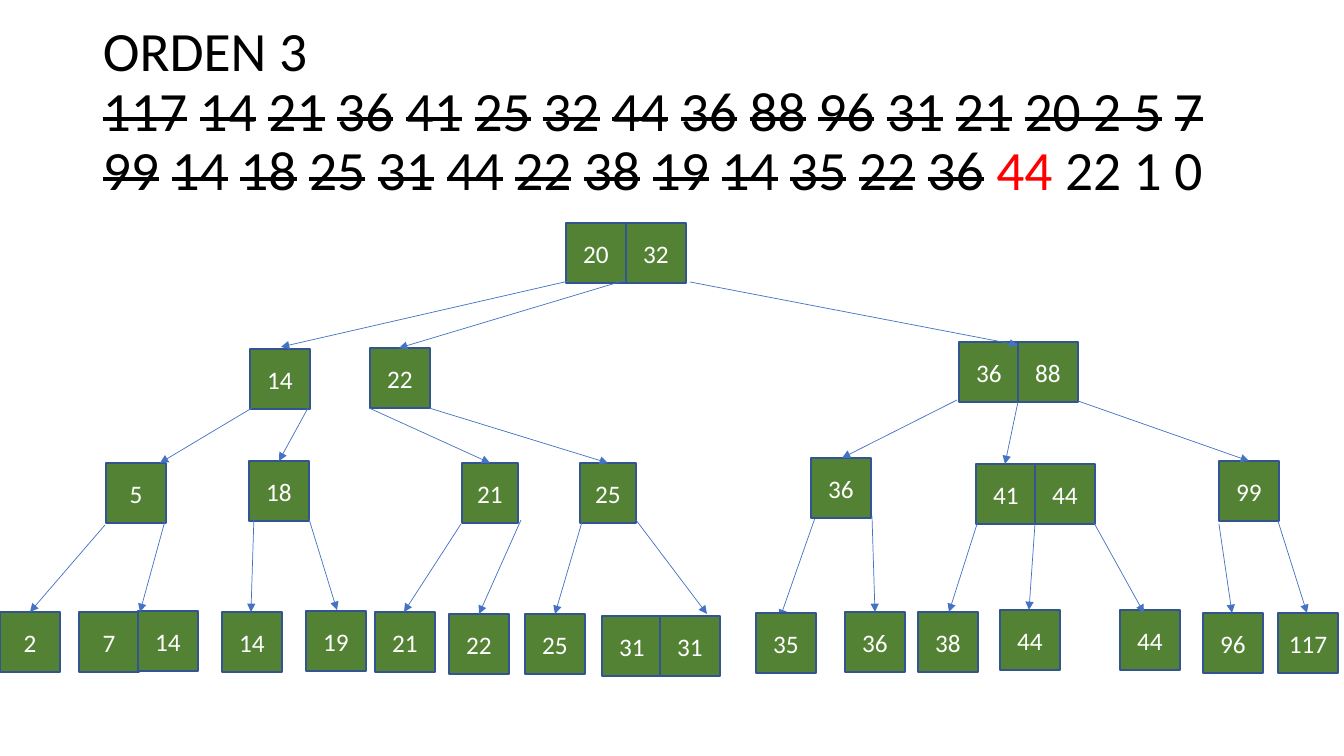
from dataclasses import dataclass
from lxml.etree import SubElement
from pptx import Presentation
from pptx.dml.color import RGBColor
from pptx.enum.shapes import MSO_CONNECTOR, MSO_SHAPE
from pptx.enum.text import MSO_ANCHOR, PP_ALIGN
from pptx.oxml.ns import qn
from pptx.util import Pt


@dataclass(frozen=True)
class Theme:
    """Colours and type sizes of the slide."""
    face: str = "Calibri"
    ink: RGBColor = RGBColor(0, 0, 0)
    red: RGBColor = RGBColor(255, 0, 0)
    white: RGBColor = RGBColor(255, 255, 255)
    green: RGBColor = RGBColor(0x54, 0x82, 0x35)
    edge: RGBColor = RGBColor(0x32, 0x54, 0x91)
    blue: RGBColor = RGBColor(0x44, 0x72, 0xC4)
    title: float = 39.6
    key: int = 18


theme = Theme()
SCALE = 914400 / 100.8
SIDE = 60

deck = Presentation()
deck.slide_width, deck.slide_height = round(1344 * SCALE), round(756 * SCALE)
slide = deck.slides.add_slide(deck.slide_layouts[6])
shapes = slide.shapes


def add_key(text, left, top, width=SIDE):
    """Draw one key of a tree node as a green box."""
    box = shapes.add_shape(
        MSO_SHAPE.RECTANGLE, *(round(n * SCALE) for n in (left, top, width, SIDE)))
    box.shadow.inherit = False
    box.fill.solid()
    box.fill.fore_color.rgb = theme.green
    box.line.color.rgb = theme.edge
    box.line.width = Pt(1)
    box.text_frame.text = text
    box.text_frame.vertical_anchor = MSO_ANCHOR.MIDDLE
    para = box.text_frame.paragraphs[0]
    para.alignment = PP_ALIGN.CENTER
    para.font.name, para.font.size = theme.face, Pt(theme.key)
    para.font.color.rgb = theme.white


def add_arrow(*ends):
    """Draw an arrow from a node down to its child."""
    link = shapes.add_connector(
        MSO_CONNECTOR.STRAIGHT, *(round(n * SCALE) for n in ends))
    link.line.color.rgb = theme.blue
    link.line.width = Pt(0.5)
    SubElement(link.line._get_or_add_ln(), qn("a:tailEnd"), type="triangle")
    SubElement(link._element.spPr, qn("a:effectLst"))


# Title: keys already inserted are struck, the current one is red
done = ("117,14,21,36,41,25,32,44,36,88,96,31,21,20 2 5,7,"
        "99,14,18,25,31,44,22,38,19,14,35,22,36").split(",")
head = shapes.add_textbox(*(round(n * SCALE) for n in (93, 40, 1159, 146)))
frame = head.text_frame
frame.word_wrap = True
frame.vertical_anchor = MSO_ANCHOR.MIDDLE
para = frame.paragraphs[0]
para.line_spacing = 0.9
para.font.name, para.font.size = theme.face, Pt(theme.title)
para.font.color.rgb = theme.ink
para.add_run().text = "ORDEN 3"
para.add_line_break()
for key in done:
    run = para.add_run()
    run.text = key
    run._r.get_or_add_rPr().set("strike", "sngStrike")
    para.add_run().text = " "
now = para.add_run()
now.text = "44"
now.font.color.rgb = theme.red
para.add_run().text = " 22 1 0"

# This arrow ends behind the box of key 35
add_arrow(815, 518, 780, 618)

# Keys level by level: text, left, top and, if narrower, width
keys = [
    ("20", 566, 223), ("32", 626, 223),

    ("14", 250, 349), ("22", 370, 348), ("36", 959, 342), ("88", 1018, 342),

    ("5", 106, 463), ("18", 249, 461), ("21", 462, 463, 56),
    ("25", 580, 463, 56), ("36", 811, 458), ("41", 976, 464),
    ("44", 1035, 464), ("99", 1219, 461),

    ("2", 0, 612), ("7", 79, 612), ("14", 138, 611), ("14", 222, 612),
    ("19", 306, 611), ("21", 375, 612), ("22", 449, 614), ("25", 525, 614),
    ("31", 602, 616), ("31", 660, 616), ("35", 756, 613), ("36", 845, 612),
    ("38", 918, 612), ("44", 1000, 610), ("44", 1120, 610),
    ("96", 1203, 613), ("117", 1278, 613),
]
for key in keys:
    add_key(*key)

# Arrows level by level: start x, y and end x, y
arrows = [
    (569, 281, 281, 347), (626, 280, 399, 348), (690, 282, 1018, 345),

    (252, 408, 160, 463), (308, 408, 279, 461), (369, 408, 490, 463),
    (429, 408, 608, 463), (957, 400, 842, 458), (1018, 402, 1005, 464),
    (1078, 401, 1249, 461),

    (105, 525, 30, 612), (165, 521, 140, 612), (254, 516, 251, 612),
    (309, 519, 337, 610), (461, 524, 404, 612), (521, 520, 479, 614),
    (582, 522, 555, 614), (636, 520, 707, 614), (872, 516, 875, 612),
    (978, 521, 949, 612), (1035, 524, 1029, 610), (1093, 521, 1144, 613),
    (1219, 524, 1232, 613), (1278, 521, 1307, 613),
]
for ends in arrows:
    add_arrow(*ends)

deck.save("out.pptx")
